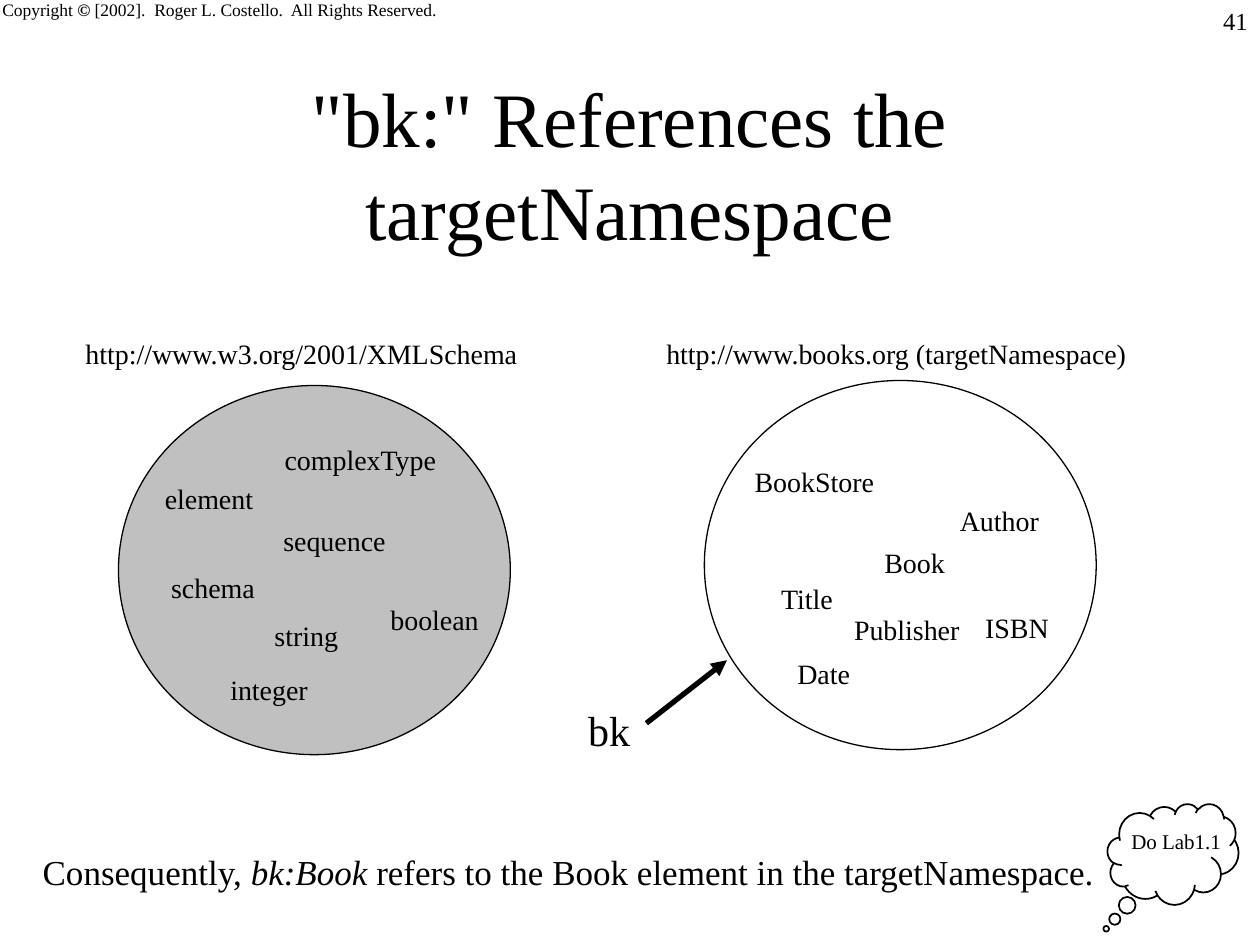
from lxml import etree
from pptx import Presentation
from pptx.dml.color import RGBColor
from pptx.enum.shapes import MSO_CONNECTOR as CONNECTOR, MSO_SHAPE as SHAPE
from pptx.enum.text import MSO_ANCHOR as ANCHOR, MSO_AUTO_SIZE as AUTO_SIZE, PP_ALIGN as ALIGN
from pptx.oxml.ns import qn
from pptx.util import Inches, Pt

FONT = "Times New Roman"
COLORS = {"ink": "000000", "paper": "FFFFFF", "gray": "C0C0C0"}

TITLE = "\"bk:\" References the targetNamespace"
COPYRIGHT = ["Copyright ", "©", " [2002].  Roger L. Costello.  All Rights Reserved.", " "]
CONCLUSION = ["Consequently, ", "bk:Book", " refers to the Book element in the targetNamespace."]

# Each namespace: circle position and fill, heading and names as (text, left, top, width)
CIRCLE_W, CIRCLE_H, LABEL_H = 3.11, 2.93, 0.37
NAMESPACES = [
    {"circle": (5.59, 3.02), "fill": "paper",
     "heading": ("http://www.books.org (targetNamespace)", 5.19, 2.62, 3.87),
     "names": [("BookStore", 5.89, 3.64, 1.15), ("Author", 7.52, 3.95, 0.83),
               ("Book", 6.92, 4.28, 0.68), ("Title", 6.1, 4.57, 0.62),
               ("Publisher", 6.68, 4.81, 1.04), ("ISBN", 7.72, 4.8, 0.72),
               ("Date", 6.23, 5.16, 0.62)]},
    {"circle": (0.94, 3.06), "fill": "gray",
     "heading": ("http://www.w3.org/2001/XMLSchema", 0.58, 2.62, 3.65),
     "names": [("complexType", 2.16, 3.46, 1.42), ("element", 1.21, 3.77, 0.9),
               ("sequence", 2.15, 4.11, 1.01), ("schema", 1.26, 4.48, 0.88),
               ("boolean", 3, 4.73, 0.9), ("string", 2.08, 4.86, 0.72),
               ("integer", 1.73, 5.29, 0.83)]},
]


def rgb(name):
    return RGBColor.from_string(COLORS[name])


def add_text(runs, left, top, width, height, size, align=ALIGN.LEFT, wrap=False):
    box = slide.shapes.add_textbox(Inches(left), Inches(top), Inches(width), Inches(height))
    tf = box.text_frame
    tf.word_wrap = wrap
    tf.auto_size = AUTO_SIZE.NONE if wrap else AUTO_SIZE.SHAPE_TO_FIT_TEXT
    p = tf.paragraphs[0]
    p.alignment = align
    p.font.name, p.font.size, p.font.color.rgb = FONT, Pt(size), rgb("ink")
    for text in runs:
        p.add_run().text = text
    return tf


def add_outline(kind, left, top, width, height, fill, weight):
    s = slide.shapes.add_shape(kind, Inches(left), Inches(top), Inches(width), Inches(height))
    s.shadow.inherit = False
    s.fill.solid()
    s.fill.fore_color.rgb = rgb(fill)
    s.line.color.rgb, s.line.width = rgb("ink"), Pt(weight)
    return s


prs = Presentation()
prs.slide_width, prs.slide_height = Inches(10), Inches(7.5)
slide = prs.slides.add_slide(prs.slide_layouts[6])

# Header and title
header = add_text(COPYRIGHT, -0.08, -0.25, 3.73, 0.5, 10).paragraphs[0]
header.runs[1].font.bold = True
header.runs[-1].font.size = Pt(24)
add_text(["41"], 7.92, 0, 2.08, 0.5, 14, ALIGN.RIGHT, wrap=True)
title = add_text([TITLE], 0.75, 0.67, 8.5, 1.25, 44, ALIGN.CENTER, wrap=True)
title.vertical_anchor = ANCHOR.MIDDLE

# Namespace circles with their names
for ns in NAMESPACES:
    add_outline(SHAPE.OVAL, *ns["circle"], CIRCLE_W, CIRCLE_H, ns["fill"], 0.75)
    for text, left, top, width in [ns["heading"], *ns["names"]]:
        add_text([text], left, top, width, LABEL_H, 16)

# Prefix with its arrow
add_text(["bk"], 4.57, 5.54, 0.53, 0.5, 24)
arrow = slide.shapes.add_connector(
    CONNECTOR.STRAIGHT, Inches(5.13), Inches(5.74), Inches(5.77), Inches(5.24))
arrow.line.color.rgb, arrow.line.width = rgb("ink"), Pt(3)
etree.SubElement(arrow.line._get_or_add_ln(), qn("a:tailEnd"), type="triangle")
etree.SubElement(arrow._element.spPr, qn("a:effectLst"))

# Conclusion and lab callout
conclusion = add_text(CONCLUSION, 0.24, 6.7, 8.57, 0.44, 20).paragraphs[0]
conclusion.runs[1].font.italic = True
cloud = add_outline(SHAPE.CLOUD_CALLOUT, 8.79, 6.38, 1.04, 0.8, "paper", 1)
cloud.adjustments[0], cloud.adjustments[1] = -0.51, 0.74
add_text(["Do Lab1.1"], 8.88, 6.53, 0.91, 0.3, 12, ALIGN.CENTER)

prs.save("out.pptx")
